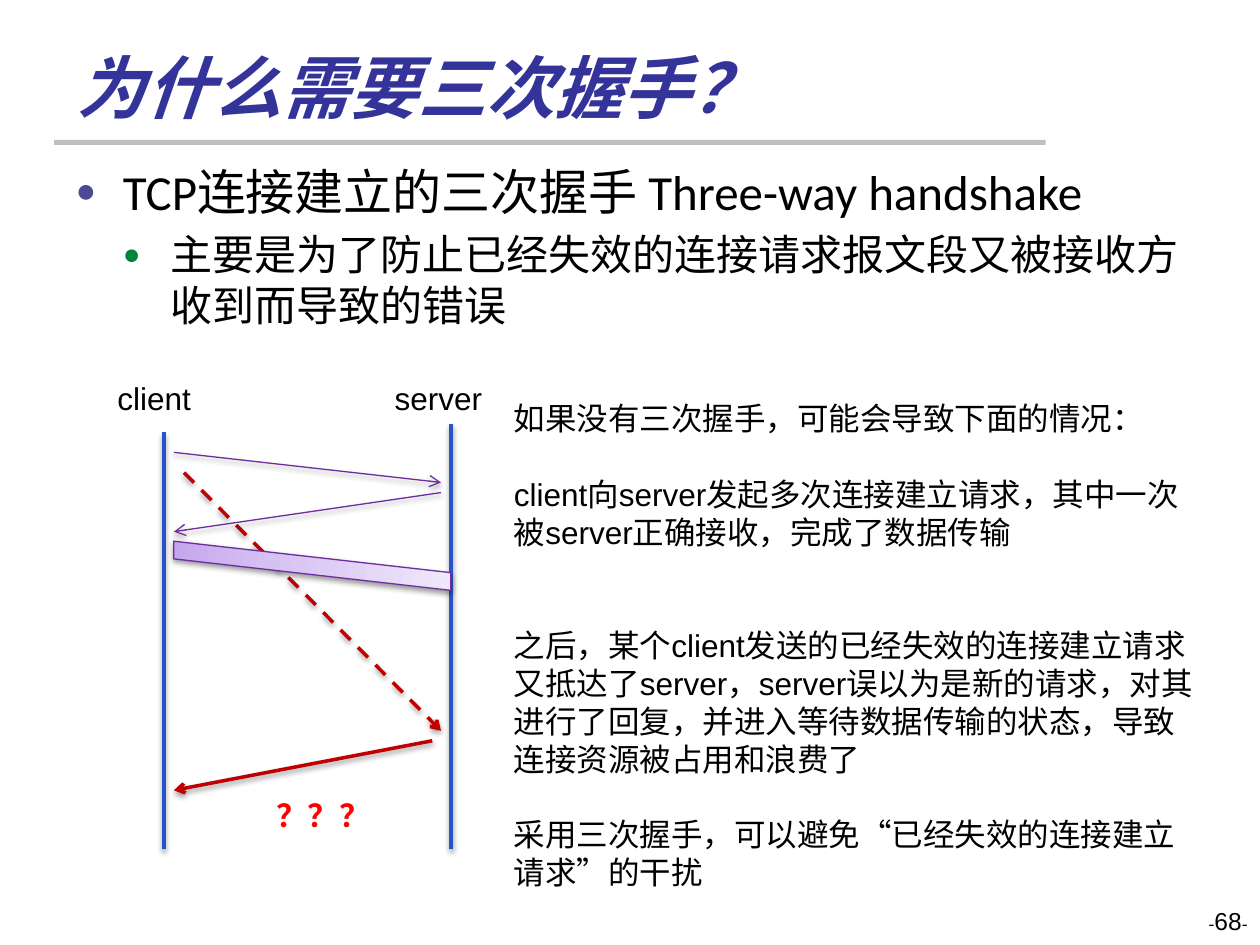
from lxml.etree import fromstring
from pptx import Presentation
from pptx.dml.color import RGBColor
from pptx.enum.dml import MSO_LINE as Dash
from pptx.enum.shapes import MSO_CONNECTOR as Link, MSO_SHAPE as Shape
from pptx.enum.text import MSO_ANCHOR as Anchor, PP_ALIGN as Align
from pptx.oxml.ns import nsdecls
from pptx.util import Pt

BLACK, BLUE, PURPLE, RED = "000000", "2755C9", "6E2C9F", "C00000"


def color(code):
    return RGBColor.from_string(code)


def add_xml(node, tag, attrs="", inner=""):
    node.append(fromstring(f'<a:{tag} {nsdecls("a")} {attrs}>{inner}</a:{tag}>'))


def place(shape, box):
    shape.left, shape.top, shape.width, shape.height = map(Pt, box)


def style(run, size, code=BLACK, name="Arial", bold=False, slant=False):
    font = run.font
    font.size, font.name = Pt(size), name
    font.bold, font.italic = bold, slant
    font.color.rgb = color(code)


def shade(shape):
    add_xml(shape._element.spPr, "effectLst", "",
            '<a:outerShdw blurRad="39370" dist="20320" dir="5400000" rotWithShape="0">'
            '<a:srgbClr val="000000"><a:alpha val="38000"/></a:srgbClr></a:outerShdw>')


def add_label(slide, box, text, code=BLACK, bold=False):
    label = slide.shapes.add_textbox(*map(Pt, box))
    label.text_frame.word_wrap = False
    label.text_frame.text = text
    style(label.text_frame.paragraphs[0].runs[0], 18, code, bold=bold)


def add_line(slide, start, end, code, width, arrow=True, dash=None):
    line = slide.shapes.add_connector(Link.STRAIGHT, *map(Pt, start + end))
    line.line.color.rgb = color(code)
    line.line.width = Pt(width)
    if dash:
        line.line.dash_style = dash
    if arrow:
        add_xml(line.line._get_or_add_ln(), "tailEnd", 'type="arrow"')
    shade(line)


def add_band(slide, box):
    band = slide.shapes.add_shape(Shape.PARALLELOGRAM, *map(Pt, box))
    band.rotation = 90
    band.adjustments[0] = 0.64
    stops = "".join(f'<a:gs pos="{pos}000"><a:srgbClr val="{code}"/></a:gs>'
                    for pos, code in ((0, "C5A6EE"), (35, "D6C2F2"), (100, "EFE7FB")))
    add_xml(band._element.spPr, "gradFill", 'rotWithShape="1"',
            f'<a:gsLst>{stops}</a:gsLst><a:lin ang="16200000" scaled="0"/>')
    band.line.color.rgb = color(PURPLE)
    band.line.width = Pt(0.75)
    shade(band)


def add_title(slide, box):
    left, top, width, height = box
    rule = slide.shapes.add_shape(
        Shape.RECTANGLE, Pt(left - 5.75), Pt(top + height + 3.6), Pt(566.6), Pt(2.9))
    rule.shadow.inherit = False
    rule.fill.solid()
    rule.fill.fore_color.rgb = color("BFBFBF")
    rule.line.fill.background()
    title = slide.shapes.title
    place(title, box)
    frame = title.text_frame
    frame.text = "为什么需要三次握手？"
    frame.vertical_anchor = Anchor.BOTTOM
    para = frame.paragraphs[0]
    para.alignment = Align.LEFT
    style(para.runs[0], 39, "333399", "Calibri", True, True)


def add_list(slide, box):
    body = slide.placeholders[1]
    place(body, box)
    items = (("TCP连接建立的三次握手 Three-way handshake", 28, "4A4A97"),
             ("主要是为了防止已经失效的连接请求报文段又被接收方收到而导致的错误", 24, "00843C"))
    frame = body.text_frame
    frame.text = "\n".join(text for text, size, dot in items)
    for level, (para, (text, size, dot)) in enumerate(zip(frame.paragraphs, items)):
        para.level = level
        style(para.runs[0], size, BLACK, "Calibri")
        props = para._p.get_or_add_pPr()
        props.set("marL", str(Pt(27 * (level + 1))))
        props.set("indent", str(Pt(-27)))
        add_xml(props, "buClr", "", f'<a:srgbClr val="{dot}"/>')
        add_xml(props, "buSzPct", 'val="70000"')
        add_xml(props, "buFont", 'typeface="Arial"')
        add_xml(props, "buChar", 'char="●"')


def add_chat(slide, box):
    left, top, width, height = box

    def at(x, y):
        return left + x, top + y

    client, server = 33.6, 197.8
    near, far = client + 5.8, server - 5.8
    for x, y in ((client, 34), (server, 29)):
        add_line(slide, at(x, y), at(x, height), BLUE, 2, arrow=False)
    add_label(slide, (*at(0, 0), 56.9, 29), "client")
    add_label(slide, (*at(158.4, 0), 64.8, 29), "server")
    add_line(slide, at(near, 45.4), at(far, 62.6), PURPLE, 0.75)
    add_line(slide, at(near + 5.8, 57), at(far, 204.5), RED, 2, dash=Dash.DASH)
    add_line(slide, at(far, 68.4), at(near, 90.7), PURPLE, 0.75)
    add_band(slide, (*at(104.4, 31), 28.1, 158.4))
    add_line(slide, at(far - 5, 210.2), at(near, 238.5), RED, 2)
    add_label(slide, (*at(90.7, 238.5), 69, 29), "？？？", "FF0000", True)


def add_notes(slide, box):
    frame = slide.shapes.add_textbox(*map(Pt, box)).text_frame
    frame.word_wrap = True
    notes = (
        (0, "如果没有三次握手，可能会导致下面的情况："),
        (21.7, "client向server发起多次连接建立请求，其中一次被server正确接收，完成了数据传输"),
        (43.2, "之后，某个client发送的已经失效的连接建立请求又抵达了server，server误以为是新的请求，"
               "对其进行了回复，并进入等待数据传输的状态，导致连接资源被占用和浪费了"),
        (21.7, "采用三次握手，可以避免“已经失效的连接建立请求”的干扰"))
    frame.text = "\n".join(text for gap, text in notes)
    for para, (gap, text) in zip(frame.paragraphs, notes):
        para.space_before = Pt(gap)
        style(para.runs[0], 18)


def add_page(slide, box):
    frame = slide.shapes.add_textbox(*map(Pt, box)).text_frame
    frame.word_wrap = True
    para = frame.paragraphs[0]
    para.alignment = Align.RIGHT
    for text, size in (("-", 10), ("68", 14), ("-", 10)):
        run = para.add_run()
        run.text = text
        style(run, size)


def main():
    deck = Presentation()
    deck.slide_width, deck.slide_height = Pt(720), Pt(540)
    slide = deck.slides.add_slide(deck.slide_layouts[1])
    add_title(slide, (36.7, 20.2, 594, 56.2))
    add_list(slide, (36, 88.6, 648, 419.8))
    add_page(slide, (552.2, 514.1, 167.8, 36))
    add_chat(slide, (60, 213.1, 223, 272.2))
    add_notes(slide, (286.6, 224.6, 402.5, 290.9))
    deck.save("out.pptx")


if __name__ == "__main__":
    main()
